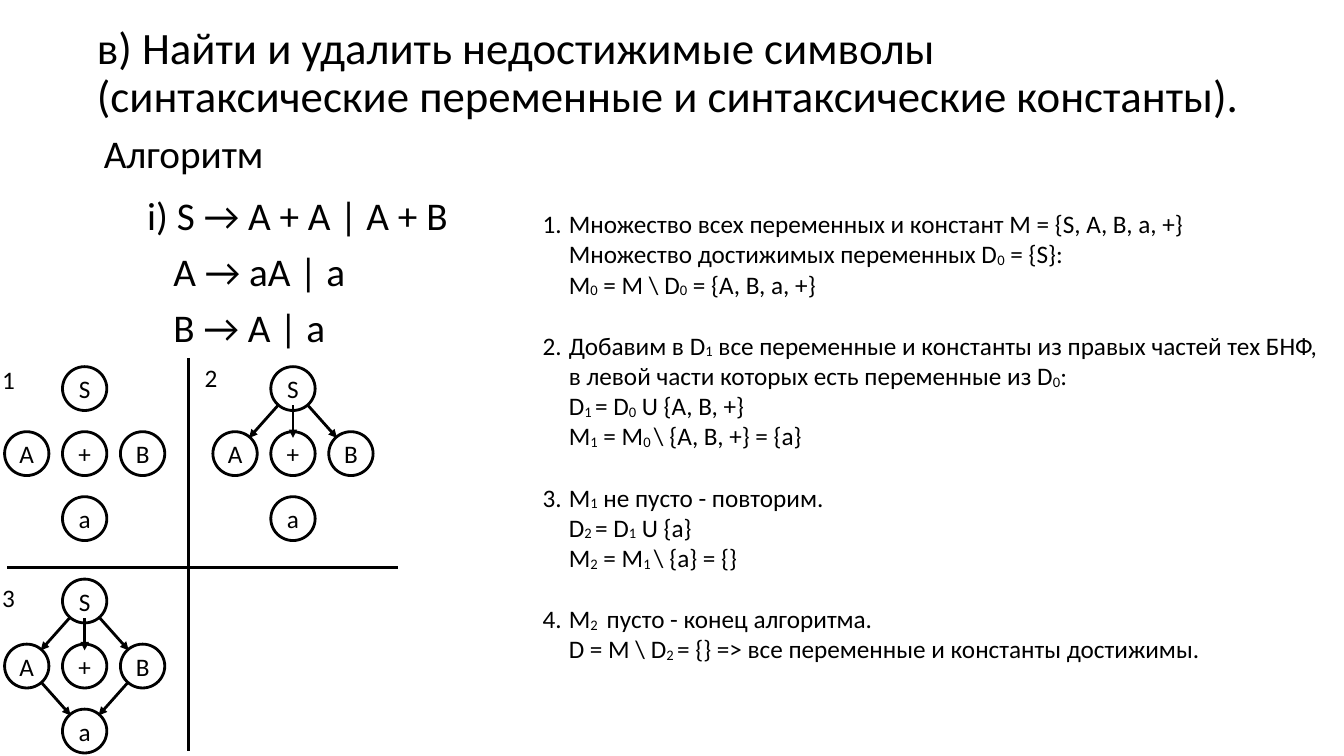
from dataclasses import dataclass
from pptx import Presentation
from pptx.dml.color import RGBColor as Rgb
from pptx.enum.shapes import MSO_CONNECTOR as Link, MSO_SHAPE as Form
from pptx.enum.text import MSO_ANCHOR as Anchor, MSO_AUTO_SIZE as Fit, PP_ALIGN as Align
from pptx.oxml.ns import qn
from pptx.util import Inches, Pt
from lxml.etree import SubElement as Sub


@dataclass(frozen=True)
class Theme:
    """Colours, font and type sizes."""
    ink: Rgb = Rgb(0, 0, 0)
    paper: Rgb = Rgb(255, 255, 255)
    font: str = "Calibri"
    title: int = 32
    head: int = 28
    body: int = 18
    rule: int = 2
    drop: int = -6000


LOOK = Theme()
WIDE, HIGH = Inches(13.33), Inches(7.5)
PAD = Inches(0.05)
NODE = (3.3, 5.8)
STEP = (4.31, 8.6)
SPOTS = {"S": (0, 0), "A": (-1, 1), "+": (0, 1), "B": (1, 1), "a": (0, 2)}
FIRST = ["SA", "S+", "SB"]
GRAPHS = [
    ("1", (-0.22, 47.6), (6.3, 51.4), []),
    ("2", (14.85, 47.33), (21.8, 51.4), FIRST),
    ("3", (-0.22, 76.4), (6.3, 79.5), FIRST + ["Aa", "Ba"]),
]
RULES = [("i) S → A + A | A + B", 0.25), ("A → aA | a", 0.51), ("B → A | a", 0.51)]
STEPS = [
    "Множество всех переменных и констант M = {S, A, B, a, +}\n"
    "Множество достижимых переменных D~0~ = {S}:\n"
    "M~0~ = M \\ D~0~ = {A, B, a, +}",
    "Добавим в D~1~ все переменные и константы из правых частей тех БНФ,\n"
    "в левой части которых есть переменные из D~0~:\n"
    "D~1 ~= D~0~ U {A, B, +}\n"
    "M~1~ = M~0 ~\\ {A, B, +} = {a}",
    "M~1~ не пусто - повторим.\n"
    "D~2 ~= D~1~ U {a}\n"
    "M~2~ = M~1 ~\\ {a} = {}",
    "M~2 ~ пусто - конец алгоритма.\n"
    "D = M \\ D~2 ~= {} => все переменные и константы достижимы.",
]


def put(item, vals):
    """Set attributes from a dict of format values."""
    for key, val in vals.items():
        setattr(item, key, val)


def spot(x, y):
    """Turn shares of the slide, in percent, into lengths."""
    return round(WIDE * x / 100), round(HIGH * y / 100)


def frame(shape, pad=PAD, **vals):
    """Format the text frame of a shape."""
    edges = ("margin_left", "margin_right", "margin_top", "margin_bottom")
    base = {"word_wrap": True, "auto_size": Fit.NONE, **dict.fromkeys(edges, pad)}
    put(shape.text_frame, base | vals)
    return shape.text_frame


def write(para, text, size, **vals):
    """Fill a paragraph, with subscripts between tildes."""
    put(para, vals)
    for row, line in enumerate(text.split("\n")):
        if row:
            para.add_line_break()
        for turn, part in enumerate(line.split("~")):
            if not part:
                continue
            run = para.add_run()
            run.text = part
            put(run.font, {"size": Pt(size), "name": LOOK.font})
            run.font.color.rgb = LOOK.ink
            if turn % 2:
                run.font._element.set("baseline", str(LOOK.drop))


def indent(para, left, first):
    """Set the left margin and first-line indent in inches."""
    prop = para._p.get_or_add_pPr()
    prop.set("marL", str(Inches(left)))
    prop.set("indent", str(Inches(first)))
    return prop


def paras(text):
    """Yield paragraphs without end, the first one being there already."""
    yield text.paragraphs[0]
    while True:
        yield text.add_paragraph()


def box(slide, x, y, wide, high):
    """Add a text box and return its frame."""
    return frame(slide.shapes.add_textbox(*spot(x, y), *spot(wide, high)))


def label(slide, area, text, size):
    """Add a text box of one paragraph."""
    write(box(slide, *area).paragraphs[0], text, size)


def title(slide, text):
    """Place and fill the title."""
    shape = slide.shapes.title
    area = spot(6.83, 0.13) + spot(86.27, 19.33)
    put(shape, dict(zip(("left", "top", "width", "height"), area)))
    para = frame(shape, vertical_anchor=Anchor.MIDDLE).paragraphs[0]
    write(para, text, LOOK.title, alignment=Align.LEFT, line_spacing=0.9)


def grammar(slide):
    """Add the grammar rules."""
    text = box(slide, 8.7, 25.33, 26.1, 22.27)
    for (rule, first), para in zip(RULES, paras(text)):
        write(para, rule, LOOK.head, line_spacing=0.9, space_before=Pt(10))
        indent(para, 0, first)


def steps(slide):
    """Add the numbered steps."""
    text = box(slide, 40, 26.93, 59.5, 66)
    for step, para in zip(STEPS, paras(text)):
        write(para, step, LOOK.body, space_after=Pt(22))
        Sub(indent(para, 0.26, -0.26), qn("a:buAutoNum"), type="arabicPeriod")


def line(slide, start, end, arrow=False):
    """Add a straight line, with an arrowhead if asked."""
    link = slide.shapes.add_connector(Link.STRAIGHT, *spot(*start), *spot(*end))
    link.line.width = Pt(LOOK.rule)
    link.line.color.rgb = LOOK.ink
    if arrow:
        Sub(link.line._get_or_add_ln(), qn("a:tailEnd"), type="triangle")
    Sub(link._element.spPr, qn("a:effectLst"))


def node(slide, mid, text):
    """Add a round node centred on a point."""
    corner = [m - n / 2 for m, n in zip(mid, NODE)]
    shape = slide.shapes.add_shape(Form.OVAL, *spot(*corner), *spot(*NODE))
    shape.shadow.inherit = False
    shape.fill.solid()
    shape.fill.fore_color.rgb = LOOK.paper
    shape.line.color.rgb = LOOK.ink
    shape.line.width = Pt(LOOK.rule)
    para = frame(shape, 0, vertical_anchor=Anchor.MIDDLE, word_wrap=False).paragraphs[0]
    write(para, text, LOOK.body, alignment=Align.CENTER)


def graph(slide, name, tag, root, edges):
    """Add a numbered graph of symbols and its arrows."""
    label(slide, (*tag, 1.8, 4.8), name, LOOK.body)
    mids = {key: [r + s * n for r, s, n in zip(root, STEP, at)]
            for key, at in SPOTS.items()}
    for key, mid in mids.items():
        node(slide, mid, key)
    for tail, head in edges:
        ends = [[a + (b - a) * share for a, b in zip(mids[tail], mids[head])]
                for share in (0.26, 0.76)]
        line(slide, *ends, arrow=True)


def main():
    """Build the slide and save it."""
    deck = Presentation()
    put(deck, {"slide_width": WIDE, "slide_height": HIGH})
    slide = deck.slides.add_slide(deck.slide_layouts[5])
    title(slide, "в) Найти и удалить недостижимые символы "
                 "(синтаксические переменные и синтаксические константы).")
    label(slide, (7.35, 16.4, 22.5, 7.6), "Алгоритм", LOOK.head)
    grammar(slide)
    steps(slide)
    line(slide, (14.03, 47.33), (14.03, 99.33))
    line(slide, (0.53, 75.07), (29.63, 75.07))
    for item in GRAPHS:
        graph(slide, *item)
    deck.save("out.pptx")


main()
